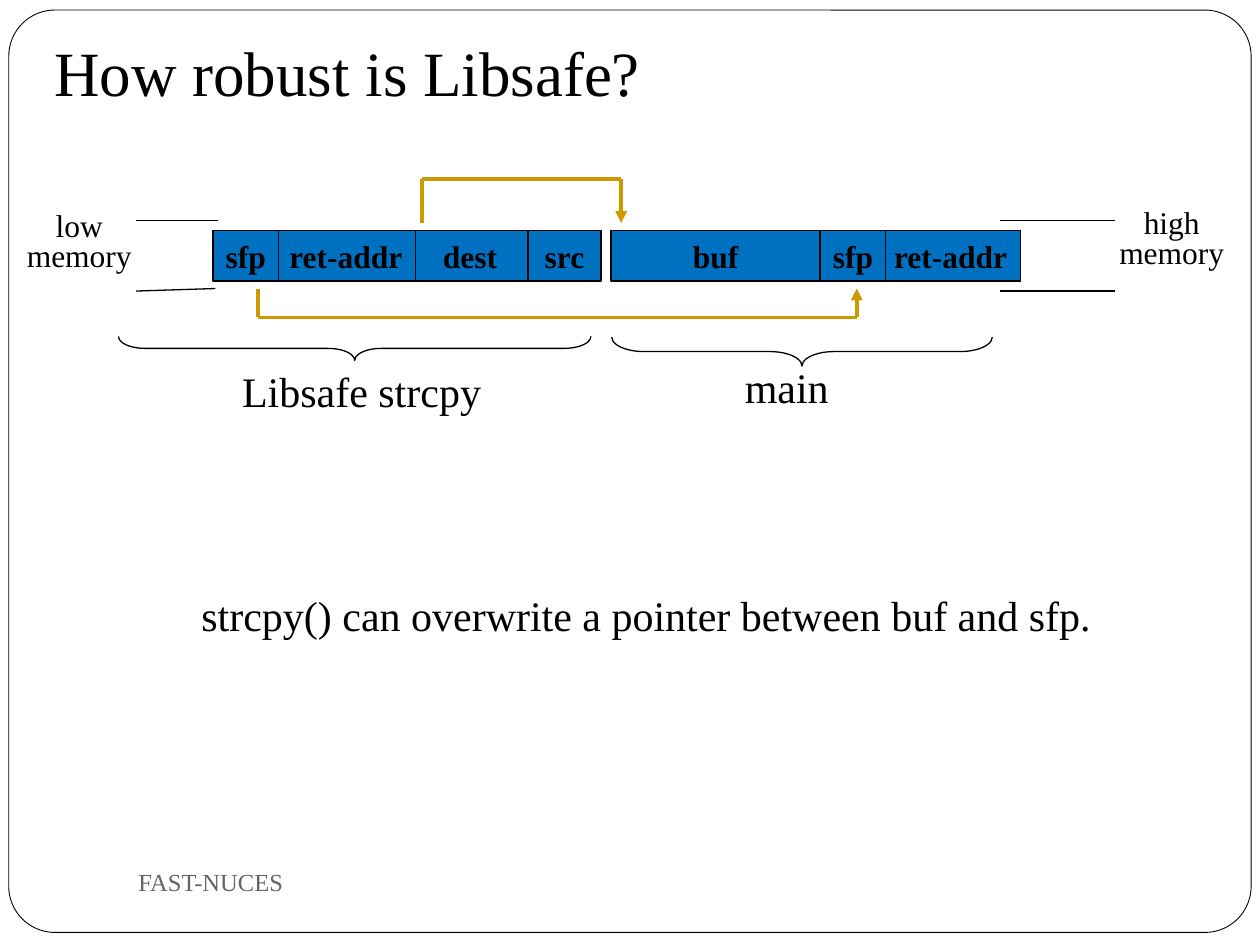
from itertools import pairwise

from lxml.etree import SubElement
from pptx import Presentation
from pptx.dml.color import RGBColor
from pptx.enum.shapes import MSO_CONNECTOR, MSO_SHAPE as SHAPE
from pptx.enum.text import MSO_ANCHOR as ANCHOR, MSO_AUTO_SIZE as AUTO, PP_ALIGN as ALIGN
from pptx.oxml.ns import qn
from pptx.util import Emu, Pt

BLACK = RGBColor(0x00, 0x00, 0x00)
WHITE = RGBColor(0xFF, 0xFF, 0xFF)
BLUE = RGBColor(0x00, 0x70, 0xC0)
GOLD = RGBColor(0xCC, 0x99, 0x00)
GREY = RGBColor(0x69, 0x64, 0x64)
FONT = "Times New Roman"


def px(*lengths):
    """Turn px (100 to the inch) into EMU."""
    return [Emu(n * 9144) for n in lengths]


def write(tf, text, size=18, color=BLACK, bold=False, align=ALIGN.LEFT,
          anchor=ANCHOR.TOP, wrap=False, spacing=None):
    tf.auto_size = AUTO.NONE
    tf.word_wrap = wrap
    tf.vertical_anchor = anchor
    p = tf.paragraphs[0]
    p.text = text
    p.alignment = align
    p.line_spacing = spacing
    for r in p.runs:
        r.font.name = FONT
        r.font.size = Pt(size)
        r.font.bold = bold
        r.font.color.rgb = color


class Canvas:
    def __init__(self, slide):
        self.slide = slide
        self.shapes = slide.shapes

    def title(self, text, box):
        sp = self.shapes.title
        sp.left, sp.top, sp.width, sp.height = px(*box)
        write(sp.text_frame, text, size=36, anchor=ANCHOR.BOTTOM, wrap=True)
        sp.text_frame.margin_bottom = px(10)[0]

    def text(self, text, box, **style):
        sp = self.shapes.add_textbox(*px(*box))
        write(sp.text_frame, text, **style)

    def shape(self, kind, box, fill=None, weight=0.75):
        sp = self.shapes.add_shape(kind, *px(*box))
        sp.shadow.inherit = False
        if fill is None:
            sp.fill.background()
        else:
            sp.fill.solid()
            sp.fill.fore_color.rgb = fill
        sp.line.color.rgb = BLACK
        sp.line.width = Pt(weight)
        return sp

    def cell(self, text, left, width):
        sp = self.shape(SHAPE.RECTANGLE, (left, 183, width, 40), BLUE)
        write(sp.text_frame, text, bold=True, align=ALIGN.CENTER, anchor=ANCHOR.MIDDLE)

    def brace(self, box, curve):
        sp = self.shape(SHAPE.LEFT_BRACE, box)
        sp.rotation = 270
        sp.adjustments[0] = curve

    def line(self, start, end, color=BLACK, weight=0.75, parent=None):
        shapes = parent.shapes if parent else self.shapes
        cxn = shapes.add_connector(MSO_CONNECTOR.STRAIGHT, *px(*start, *end))
        cxn.line.color.rgb = color
        cxn.line.width = Pt(weight)
        SubElement(cxn._element.spPr, qn("a:effectLst"))
        return cxn

    def arrow(self, *points):
        """Draw a bent arrow through the points, as one group."""
        group = self.shapes.add_group_shape()
        for start, end in pairwise(points):
            last = self.line(start, end, GOLD, 2.25, group)
        SubElement(last.line._get_or_add_ln(), qn("a:tailEnd"), type="triangle")


def main():
    prs = Presentation()
    prs.slide_width, prs.slide_height = px(1000, 750)
    c = Canvas(prs.slides.add_slide(prs.slide_layouts[5]))

    # Frame, sent behind the title
    frame = c.shape(SHAPE.ROUNDED_RECTANGLE, (7, 8, 986, 732), WHITE, 0.5)
    frame.adjustments[0] = 0.05
    c.shapes.title._element.addprevious(frame._element)

    c.title("How robust is Libsafe?", (33, 25, 900, 72))
    c.text("strcpy() can overwrite a pointer between buf and sfp.",
           (150, 463, 733, 50), size=24)

    # Edges of memory
    for start, end in (((108, 175), (173, 175)), ((108, 231), (171, 229)),
                       ((794, 175), (885, 175)), ((794, 231), (885, 231))):
        c.line(start, end)
    for label, left, top in (("low", 11, 164), ("high", 878, 162)):
        c.text(f"{label}\nmemory".replace("\n", "\v"), (left, top, 104, 59),
               align=ALIGN.CENTER, spacing=0.8)

    # Stack cells, right to left so that each covers the edge of the next
    for name, left, width in (("ret-addr", 699, 111), ("sfp", 651, 52), ("buf", 485, 166),
                              ("src", 419, 58), ("dest", 327, 92),
                              ("ret-addr", 219, 111), ("sfp", 169, 52)):
        c.cell(name, left, width)

    # Pointers
    c.arrow((205, 229), (205, 252), (680, 252), (680, 229))
    c.arrow((335, 177), (335, 142), (493, 142), (493, 177))

    # Stack frames
    c.brace((272, 89, 19, 375), 1.12)
    c.brace((625, 128, 23, 302), 1.11)
    c.text("Libsafe strcpy", (181, 285, 212, 50), size=24, align=ALIGN.CENTER)
    c.text("main", (581, 282, 87, 50), size=24, align=ALIGN.CENTER)

    # Footer
    c.text("FAST-NUCES", (100, 675, 433, 50), size=14, color=GREY,
           anchor=ANCHOR.MIDDLE, wrap=True)

    prs.save("out.pptx")


if __name__ == "__main__":
    main()
